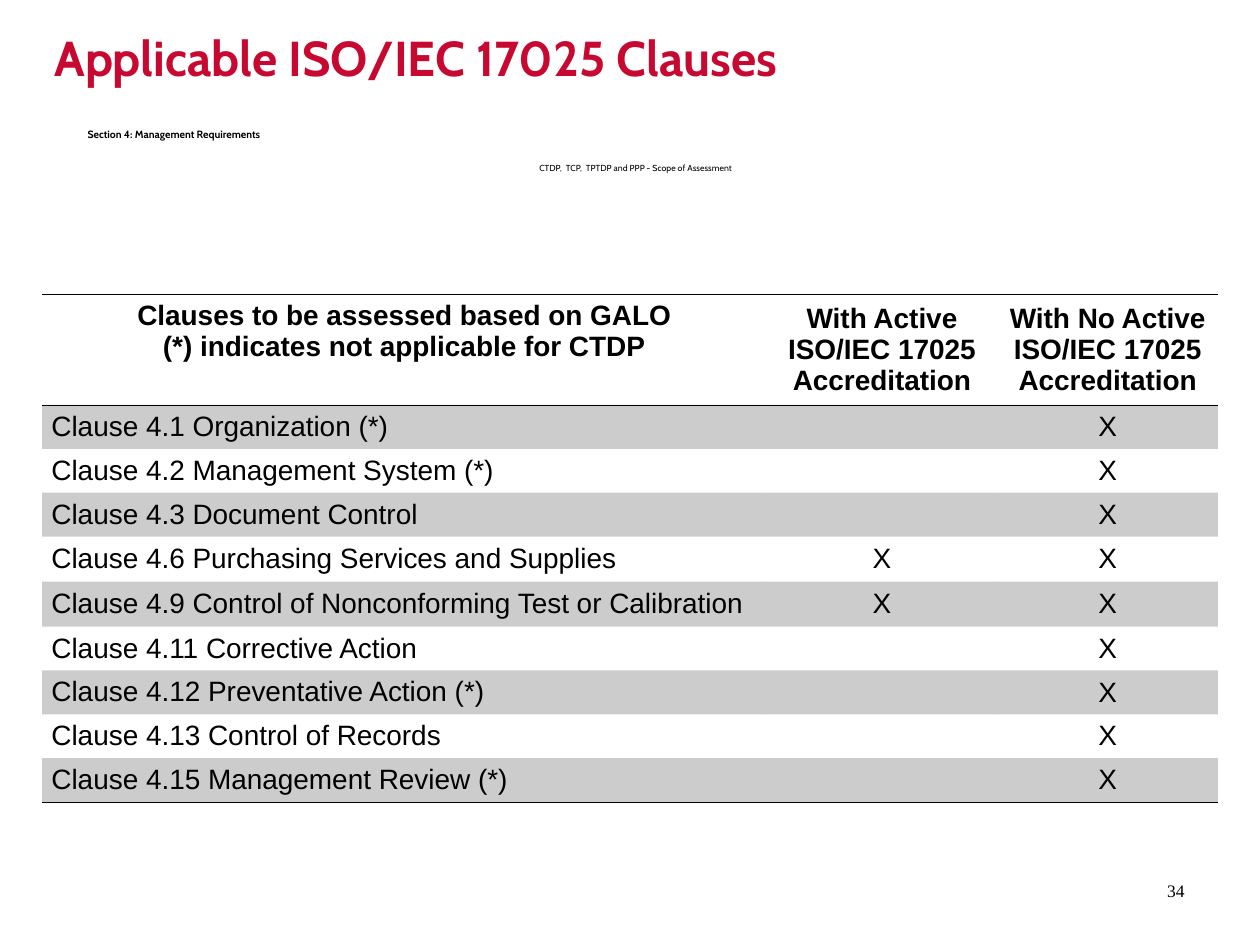
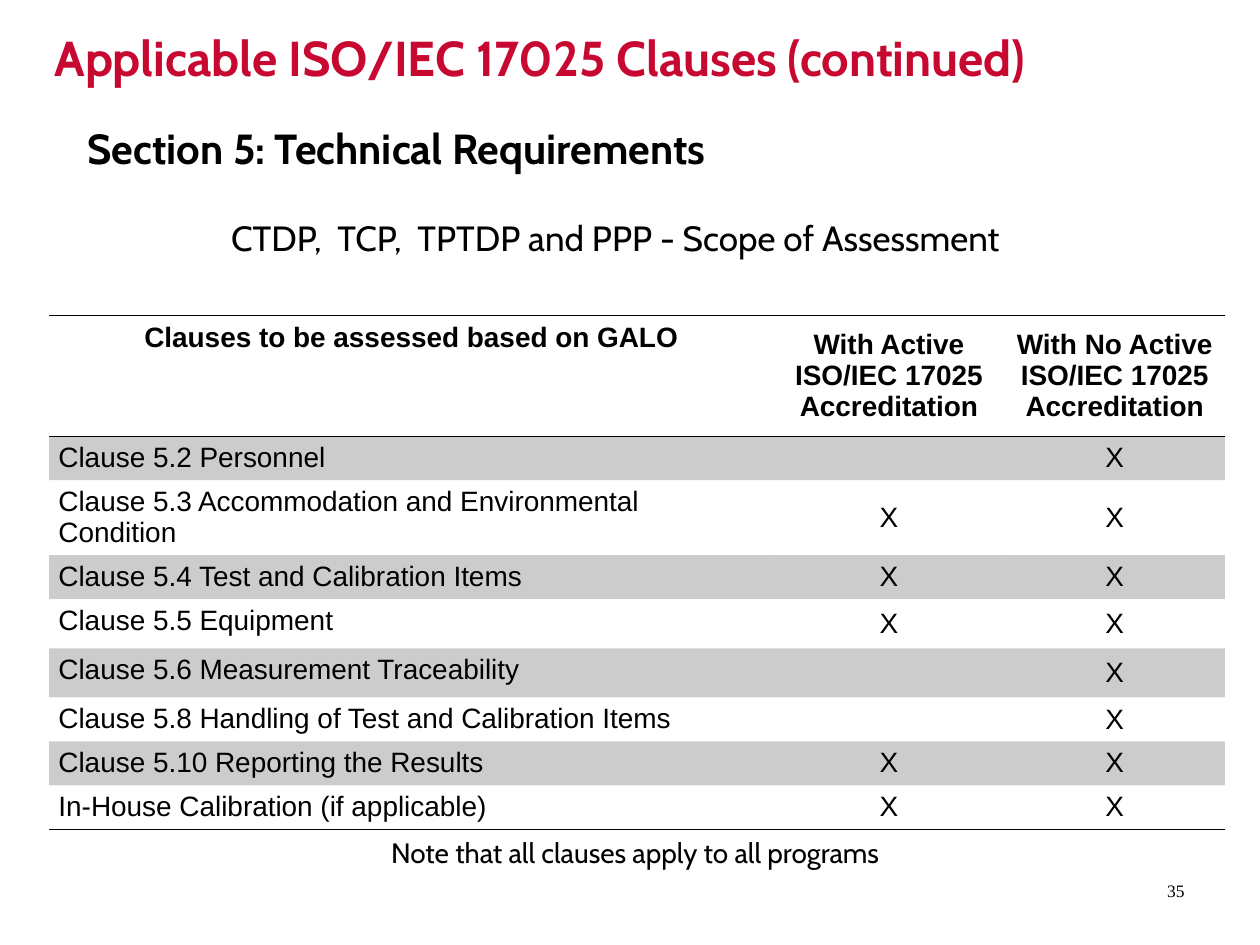
"""Build two slides listing the applicable ISO/IEC 17025 clauses."""
from lxml import etree
from pptx import Presentation
from pptx.dml.color import RGBColor
from pptx.enum.text import MSO_ANCHOR, PP_ALIGN
from pptx.oxml.ns import qn
from pptx.util import Pt

LEFT, CENTER, RIGHT = PP_ALIGN.LEFT, PP_ALIGN.CENTER, PP_ALIGN.RIGHT
TOP, MIDDLE = MSO_ANCHOR.TOP, MSO_ANCHOR.MIDDLE
COLORS = {"title": "C70932", "text": "000000", "band": "000000", "rule": "000000"}
HEADING, BODY, NUMBER = "Cabin", "Arial", "Times New Roman"
NO_STYLE = "{2D5ABB26-0587-4C30-8999-92F81FD0307C}"
SCOPE = "CTDP,  TCP,  TPTDP and PPP - Scope of Assessment "
COLUMN_WIDTHS = [414, 132, 126]
ACCREDITATION = ["With Active ISO/IEC 17025 Accreditation",
                 "With No Active ISO/IEC 17025 Accreditation"]

SLIDES = [
    {
        "title": "Applicable ISO/IEC 17025 Clauses",
        "section": ("Section 4: Management Requirements", 6, 0.6),
        "number": "34",
        "table_at": (24, 168),
        "header": "Clauses to be assessed based on GALO\n(*) indicates not applicable for CTDP",
        "header_height": 63.4,
        "rows": [
            ("Clause 4.1 Organization (*)", "", "X", 25.1),
            ("Clause 4.2 Management System (*)", "", "X", 25.1),
            ("Clause 4.3 Document Control", "", "X", 25.1),
            ("Clause 4.6 Purchasing Services and Supplies", "X", "X", 25.7),
            ("Clause 4.9 Control of Nonconforming Test or Calibration", "X", "X", 25.7),
            ("Clause 4.11 Corrective Action", "", "X", 25.1),
            ("Clause 4.12 Preventative Action (*)", "", "X", 25.1),
            ("Clause 4.13 Control of Records", "", "X", 25.1),
            ("Clause 4.15 Management Review (*)", "", "X", 25.1),
        ],
        "notes": [],
    },
    {
        "title": "Applicable ISO/IEC 17025 Clauses (continued)",
        "section": ("Section 5: Technical Requirements", 24, 0.8),
        "number": "35",
        "table_at": (28, 180.3),
        "header": "Clauses to be assessed based on GALO",
        "header_height": 69,
        "rows": [
            ("Clause 5.2 Personnel", "", "X", 25.1),
            ("Clause 5.3 Accommodation and Environmental Condition", "X", "X", 42.9),
            ("Clause 5.4 Test and Calibration Items", "X", "X", 25.1),
            ("Clause 5.5 Equipment", "X", "X", 28.1),
            ("Clause 5.6 Measurement Traceability", "", "X", 28.1),
            ("Clause 5.8 Handling of Test and Calibration Items", "", "X", 25.1),
            ("Clause 5.10 Reporting the Results", "X", "X", 25.1),
            ("In-House Calibration (if applicable)", "X", "X", 25.1),
        ],
        "notes": [((18, 120, 672, 32), SCOPE, 20),
                  ((120, 474, 486, 27), "Note that all clauses apply to all programs", 16)],
    },
]


def style(p, size, font=HEADING, bold=False, align=LEFT, color="text"):
    p.alignment = align
    for r in p.runs:
        r.font.size, r.font.name, r.font.bold = Pt(size), font, bold
        r.font.color.rgb = RGBColor.from_string(COLORS[color])


def add_text(s, at, text, size, **look):
    tf = s.shapes.add_textbox(*map(Pt, at)).text_frame
    tf.word_wrap = True
    tf.text = text
    style(tf.paragraphs[0], size, **look)
    return tf


prs = Presentation()
prs.slide_width, prs.slide_height = Pt(720), Pt(540)

for content in SLIDES:
    s = prs.slides.add_slide(prs.slide_layouts[6])
    add_text(s, (24, 12, 672, 48), content["title"], 28, bold=True, color="title")

    section, size, spacing = content["section"]
    tf = add_text(s, (43, 72, 642, 32), section, size, bold=True)
    tf.paragraphs[0].line_spacing = spacing
    if not content["notes"]:
        p = tf.add_paragraph()
        p.text = SCOPE
        p.line_spacing, p.space_before = spacing, Pt(15.5)
        style(p, 5, align=CENTER)

    rows = [(content["header"], *ACCREDITATION, content["header_height"]), *content["rows"]]
    heights = [row[-1] for row in rows]
    frame = s.shapes.add_table(len(rows), 3, *map(Pt, content["table_at"]),
                               Pt(sum(COLUMN_WIDTHS)), Pt(sum(heights)))
    table = frame.table
    table.first_row = table.horz_banding = False
    table._tbl.tblPr.find(qn("a:tableStyleId")).text = NO_STYLE
    for column, width in zip(table.columns, COLUMN_WIDTHS):
        column.width = Pt(width)

    for i, (*texts, height) in enumerate(rows):
        table.rows[i].height = Pt(height)
        ruled = {0: ["lnT", "lnB"], 1: ["lnT"], len(rows) - 1: ["lnB"]}.get(i, [])
        for j, text in enumerate(texts):
            cell = table.cell(i, j)
            cell.margin_left = Pt(5.4)
            cell.margin_right = Pt(7.2 if i and j == 0 else 5.4)
            cell.margin_top = Pt(1.5 if j else 3.6)
            cell.margin_bottom = Pt(1.5 if j else 0)
            cell.vertical_anchor = MIDDLE if j else TOP
            cell.text_frame.text = text
            for p in cell.text_frame.paragraphs:
                style(p, 16, font=BODY, bold=i == 0, align=LEFT if i and j == 0 else CENTER)
                if not text:
                    etree.SubElement(p._p, qn("a:endParaRPr"), sz="1600")

            tcPr = cell._tc.get_or_add_tcPr()
            for edge in ("lnL", "lnR", "lnT", "lnB"):
                line = etree.SubElement(tcPr, qn(f"a:{edge}"), w=str(Pt(0.45)))
                if edge in ruled:
                    fill = etree.SubElement(line, qn("a:solidFill"))
                    etree.SubElement(fill, qn("a:srgbClr"), val=COLORS["rule"])
                else:
                    etree.SubElement(line, qn("a:noFill"))
            if i % 2:
                cell.fill.solid()
                cell.fill.fore_color.rgb = RGBColor.from_string(COLORS["band"])
                band = tcPr.find(qn("a:solidFill")).find(qn("a:srgbClr"))
                etree.SubElement(band, qn("a:alpha"), val="20000")
            else:
                cell.fill.background()

    for at, note, size in content["notes"]:
        add_text(s, at, note, size, align=CENTER)

    tf = add_text(s, (633.6, 494.4, 50.4, 29), content["number"], 10, font=NUMBER, align=RIGHT)
    tf.vertical_anchor = MIDDLE

prs.save("out.pptx")
